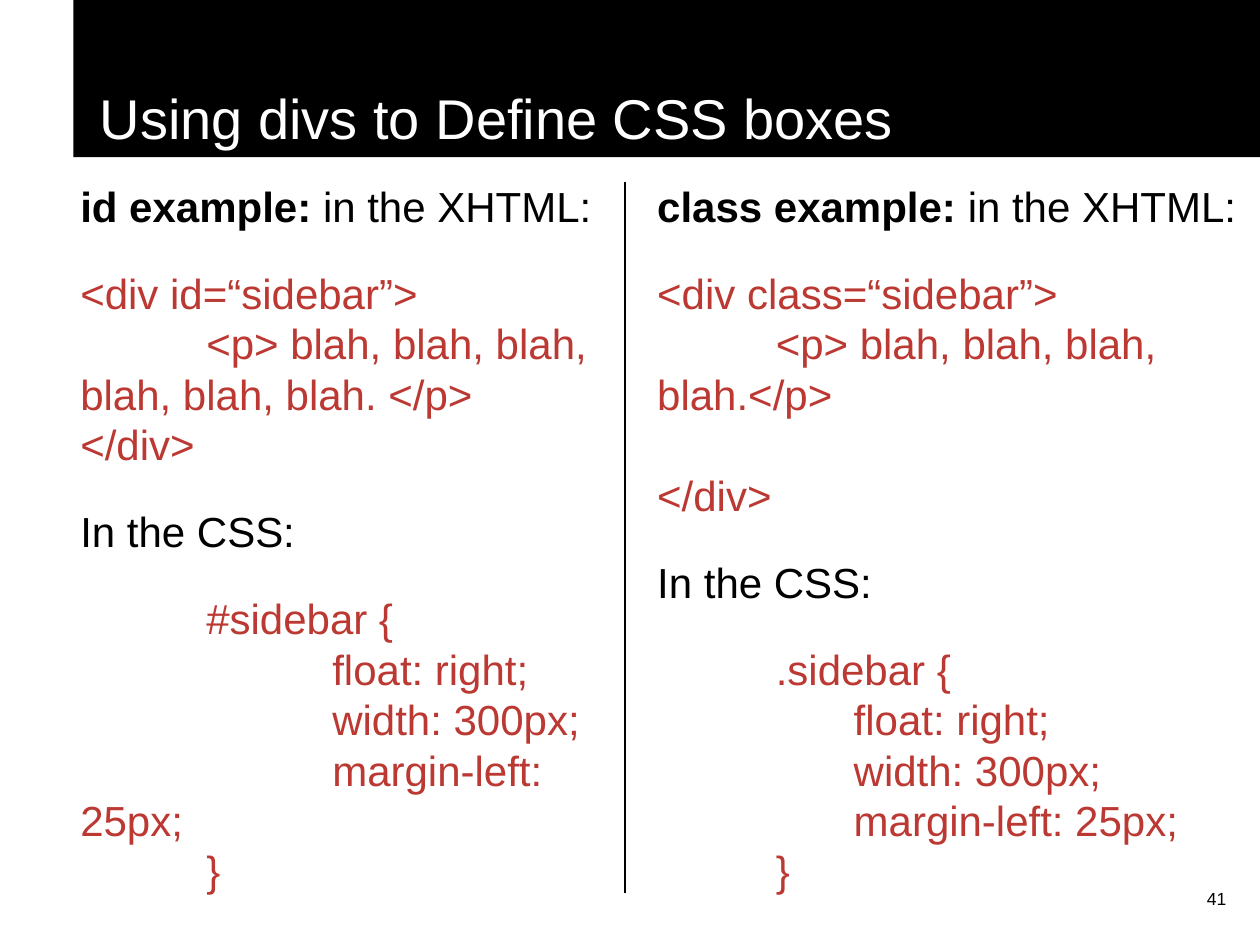
import dataclasses

import pptx
import pptx.dml.color
import pptx.enum.shapes
import pptx.enum.text
import pptx.oxml
import pptx.oxml.ns
import pptx.util
from pptx.util import Cm


@dataclasses.dataclass(frozen=True)
class Theme:
    black: str = "000000"
    white: str = "FFFFFF"
    code: str = "BB3932"
    font: str = "Arial"
    title_size: int = 32
    body_size: int = 24
    number_size: int = 10


theme = Theme()


def add_text(paragraph, text, size, color, bold=False):
    """Add one run per line, with line breaks in between."""
    for index, line in enumerate(text.split("\n")):
        if index:
            paragraph.add_line_break()
            line_break = paragraph._p[-1]
            line_break.get_or_add_rPr().set("sz", str(size * 100)) if hasattr(
                line_break, "get_or_add_rPr") else line_break.append(
                pptx.oxml.parse_xml(
                    f'<a:rPr {pptx.oxml.ns.nsdecls("a")} sz="{size * 100}"/>'))
        if not line:
            continue
        run = paragraph.add_run()
        run.text = line
        run.font.name = theme.font
        run.font.size = pptx.util.Pt(size)
        run.font.bold = bold
        run.font.color.rgb = pptx.dml.color.RGBColor.from_string(color)


def set_layout(paragraph, margin, tabs=()):
    """Set the left margin and the tab stops of a paragraph."""
    properties = paragraph._p.get_or_add_pPr()
    properties.set("marL", str(margin))
    if tabs:
        tab_list = pptx.oxml.parse_xml(
            f"<a:tabLst {pptx.oxml.ns.nsdecls('a')}/>")
        for position in tabs:
            stop = tab_list.makeelement(pptx.oxml.ns.qn("a:tab"),
                                        {"pos": str(position), "algn": "l"})
            tab_list.append(stop)
        properties.append(tab_list)


presentation = pptx.Presentation()
presentation.slide_width = Cm(25.4)
presentation.slide_height = Cm(19.05)
slide = presentation.slides.add_slide(presentation.slide_layouts[6])
black = pptx.dml.color.RGBColor.from_string(theme.black)

# Page number
page_number = slide.shapes.add_textbox(Cm(19.69), Cm(17.78), Cm(5.28), Cm(1.27))
page_number.text_frame.word_wrap = True
number_line = page_number.text_frame.paragraphs[0]
number_line.alignment = pptx.enum.text.PP_ALIGN.RIGHT
add_text(number_line, "41", theme.number_size, theme.black)

# Title band
title = slide.shapes.add_shape(pptx.enum.shapes.MSO_SHAPE.RECTANGLE,
                               Cm(1.48), Cm(0), Cm(23.92), Cm(3.17))
title.shadow.inherit = False
title.fill.solid()
title.fill.fore_color.rgb = black
title.line.fill.background()
title.text_frame.word_wrap = True
title.text_frame.vertical_anchor = pptx.enum.text.MSO_ANCHOR.BOTTOM
title_line = title.text_frame.paragraphs[0]
title_line.alignment = pptx.enum.text.PP_ALIGN.LEFT
set_layout(title_line, Cm(0.28))
add_text(title_line, "Using divs to Define CSS boxes", theme.title_size, theme.white)

# Two examples: left, width, height, tab stops, attribute, markup, selector
examples = [
    (Cm(1.12), Cm(11.53), Cm(15.47), (Cm(2.54), Cm(5.08)), "id",
     "\t<p> blah, blah, blah, blah, blah, blah. </p>\n", "#"),
    (Cm(12.75), Cm(12.52), Cm(16.43), (Cm(2.39), Cm(3.96)), "class",
     "\t<p> blah, blah, blah, blah.</p>\n\n", "."),
]
rules = "".join(f"\t\t{rule}\n" for rule in
                ("float: right; ", "width: 300px;", "margin-left: 25px;"))
for left, width, height, tabs, attribute, markup, selector in examples:
    example = slide.shapes.add_textbox(left, Cm(3.51), width, height)
    frame = example.text_frame
    frame.word_wrap = True
    paragraphs = [
        [(f"{attribute} example:", theme.black, True),
         (" in the XHTML:", theme.black, False)],
        [(f"<div {attribute}=“sidebar”>\n{markup}</div>", theme.code, False)],
        [("In the CSS:", theme.black, False)],
        [(f"\t{selector}sidebar {{ \n{rules}\t}}", theme.code, False)],
    ]
    for index, runs in enumerate(paragraphs):
        paragraph = frame.add_paragraph() if index else frame.paragraphs[0]
        paragraph.space_before = pptx.util.Pt(15)
        paragraph.space_after = pptx.util.Pt(6)
        set_layout(paragraph, Cm(0.25), tabs)
        for text, color, bold in runs:
            add_text(paragraph, text, theme.body_size, color, bold)

# Divider between the examples
divider = slide.shapes.add_connector(pptx.enum.shapes.MSO_CONNECTOR.STRAIGHT,
                                     Cm(12.6), Cm(3.66), Cm(12.6), Cm(18.01))
divider.line.color.rgb = black
divider.line.width = pptx.util.Pt(0.75)
divider._element.spPr.append(
    pptx.oxml.parse_xml(f"<a:effectLst {pptx.oxml.ns.nsdecls('a')}/>"))

presentation.save("out.pptx")
